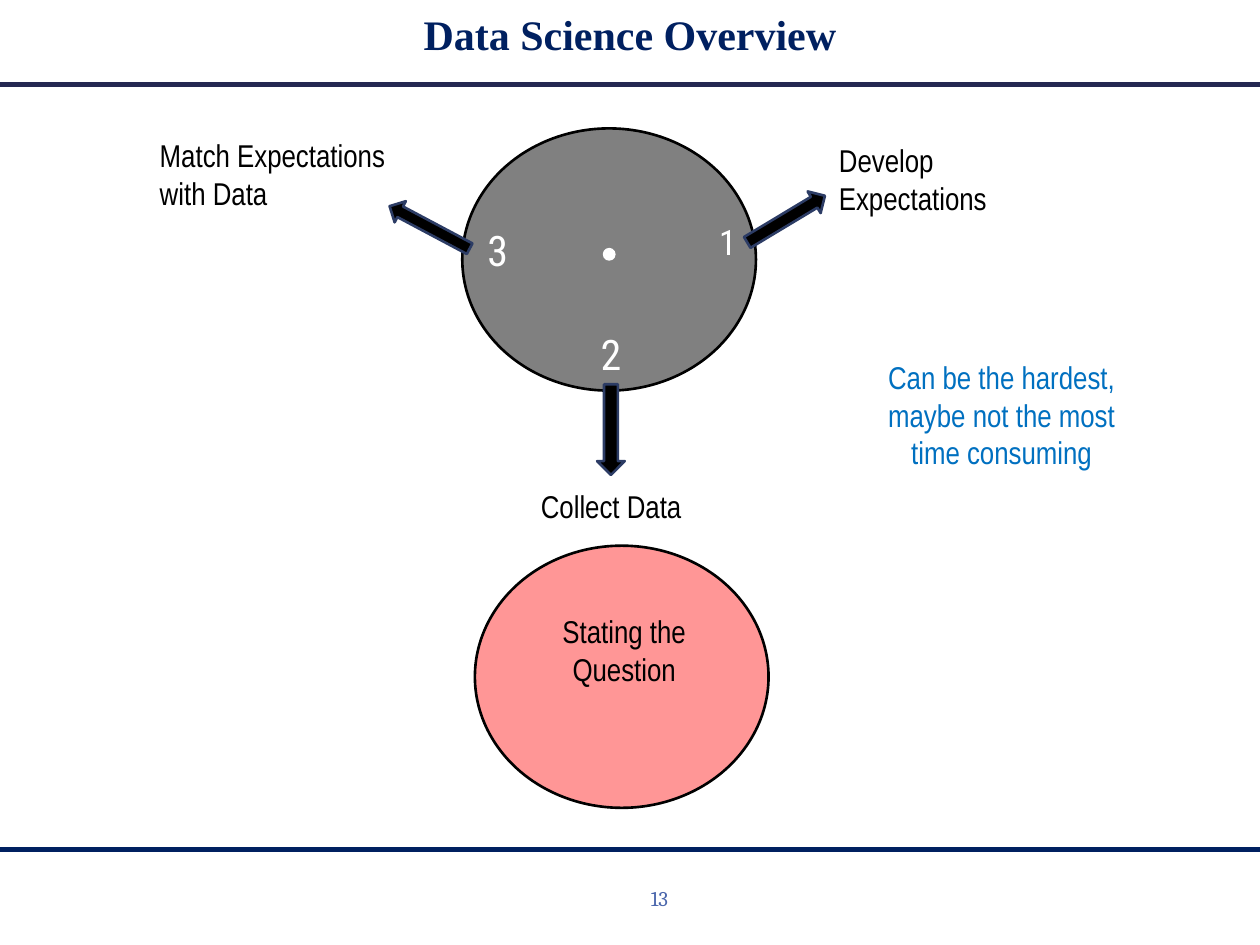
from lxml.etree import SubElement
from pptx import Presentation
from pptx.dml.color import RGBColor
from pptx.enum.shapes import MSO_CONNECTOR, MSO_SHAPE
from pptx.enum.text import MSO_ANCHOR, PP_ALIGN
from pptx.oxml.ns import qn
from pptx.util import Pt

NAVY = RGBColor(0x00, 0x20, 0x60)
DARK_BLUE = RGBColor(0x24, 0x28, 0x52)
ARROW_EDGE = RGBColor(0x2C, 0x3C, 0x65)
NUMBER_BLUE = RGBColor(0x4A, 0x66, 0xAC)
NOTE_BLUE = RGBColor(0x00, 0x70, 0xC0)
GRAY = RGBColor(0x80, 0x80, 0x80)
RED = RGBColor(0xFF, 0x00, 0x00)
BLACK = RGBColor(0x00, 0x00, 0x00)
WHITE = RGBColor(0xFF, 0xFF, 0xFF)

SLIDE_WIDTH, SLIDE_HEIGHT = 720, 540
CIRCLE_SIZE = (167.8, 149.8)


def write(frame, text, size=18, font="Arial Narrow", color=BLACK, bold=False,
          align=PP_ALIGN.LEFT, anchor=MSO_ANCHOR.TOP):
    frame.word_wrap = True
    frame.vertical_anchor = anchor
    paragraph = frame.paragraphs[0]
    paragraph.alignment = align
    run = paragraph.add_run()
    run.text = text
    run.font.size = Pt(size)
    run.font.name = font
    run.font.bold = bold
    run.font.color.rgb = color


def add_label(slide, box, text, **text_format):
    label = slide.shapes.add_textbox(*map(Pt, box))
    write(label.text_frame, text, **text_format)


def add_figure(slide, preset, box, fill, edge=BLACK, rotation=0, opacity=100):
    figure = slide.shapes.add_shape(preset, *map(Pt, box))
    figure.shadow.inherit = False
    figure.rotation = rotation
    figure.fill.solid()
    figure.fill.fore_color.rgb = fill
    figure.line.color.rgb = edge
    figure.line.width = Pt(1.5)
    if opacity < 100:
        color = figure.fill._xPr.find(qn("a:solidFill"))[0]
        SubElement(color, qn("a:alpha"), val=str(opacity * 1000))


def add_rule(slide, y, color):
    rule = slide.shapes.add_connector(
        MSO_CONNECTOR.STRAIGHT, 0, Pt(y), Pt(SLIDE_WIDTH), Pt(y))
    rule.line.color.rgb = color
    rule.line.width = Pt(3)
    SubElement(rule._element.spPr, qn("a:effectLst"))


def add_header(slide, box):
    title = slide.shapes.title
    title.left, title.top, title.width, title.height = map(Pt, box)
    write(title.text_frame, "Data Science Overview", size=24,
          font="Times New Roman", color=NAVY, bold=True, align=PP_ALIGN.CENTER)
    add_rule(slide, 48.2, DARK_BLUE)


def add_footer(slide, box):
    add_rule(slide, 485.3, NAVY)
    add_label(slide, box, "13", size=12, font="Cambria", color=NUMBER_BLUE,
              align=PP_ALIGN.RIGHT, anchor=MSO_ANCHOR.MIDDLE)


def add_cycle(slide, box):
    """Gray circle with three numbered arrows pointing to the steps."""
    left, top, width, height = box
    add_figure(slide, MSO_SHAPE.OVAL, box, GRAY)
    dot = 5.8
    add_figure(slide, MSO_SHAPE.OVAL,
               (left + (width - dot) / 2, top + (height - dot) / 2 - 3, dot, dot),
               WHITE, WHITE)

    # Offsets from the top left of the circle
    numbers = [("1", 139.7, 49, 20), ("2", 72, 110.9, 24), ("3", 7.2, 51.1, 24)]
    for number, x, y, size in numbers:
        add_label(slide, (left + x, top + y, 18, 36), number, size=size,
                  font="Roboto Condensed", color=WHITE)

    arrows = [(159.1, 44.6, 14.4, 329), (59, 164.2, 15.8, 90),
              (-44.6, 49.7, 13.7, 208)]
    for x, y, thickness, rotation in arrows:
        add_figure(slide, MSO_SHAPE.RIGHT_ARROW,
                   (left + x, top + y, 51.8, thickness),
                   BLACK, ARROW_EDGE, rotation)

    steps = [("Develop Expectations", 208.1, 3.6, 148.3, 51.1, PP_ALIGN.LEFT),
             ("Collect Data", -0.7, 201.6, 171.4, 28.8, PP_ALIGN.CENTER),
             ("Match Expectations with Data", -180, 0.7, 149.8, 51.1, PP_ALIGN.LEFT)]
    for step, x, y, step_width, step_height, align in steps:
        add_label(slide, (left + x, top + y, step_width, step_height), step,
                  align=align)


def add_question(slide, box):
    left, top, width, height = box
    add_figure(slide, MSO_SHAPE.OVAL, box, RED, opacity=41)
    add_label(slide, (left + 37.4, top + 34.6, 95.8, 51.1),
              "Stating the Question", align=PP_ALIGN.CENTER)


def main():
    deck = Presentation()
    deck.slide_width, deck.slide_height = Pt(SLIDE_WIDTH), Pt(SLIDE_HEIGHT)
    slide = deck.slides.add_slide(deck.slide_layouts.get_by_name("Title Only"))
    add_header(slide, (49.7, 1.4, 620.6, 43.2))
    add_footer(slide, (226.8, 499, 162, 28.8))
    add_cycle(slide, (264.2, 73.4, *CIRCLE_SIZE))
    add_question(slide, (271.4, 311.8, *CIRCLE_SIZE))
    add_label(slide, (498.2, 200.9, 148.3, 72.7),
              "Can be the hardest, maybe not the most time consuming",
              color=NOTE_BLUE, align=PP_ALIGN.CENTER)
    deck.save("out.pptx")


if __name__ == "__main__":
    main()
